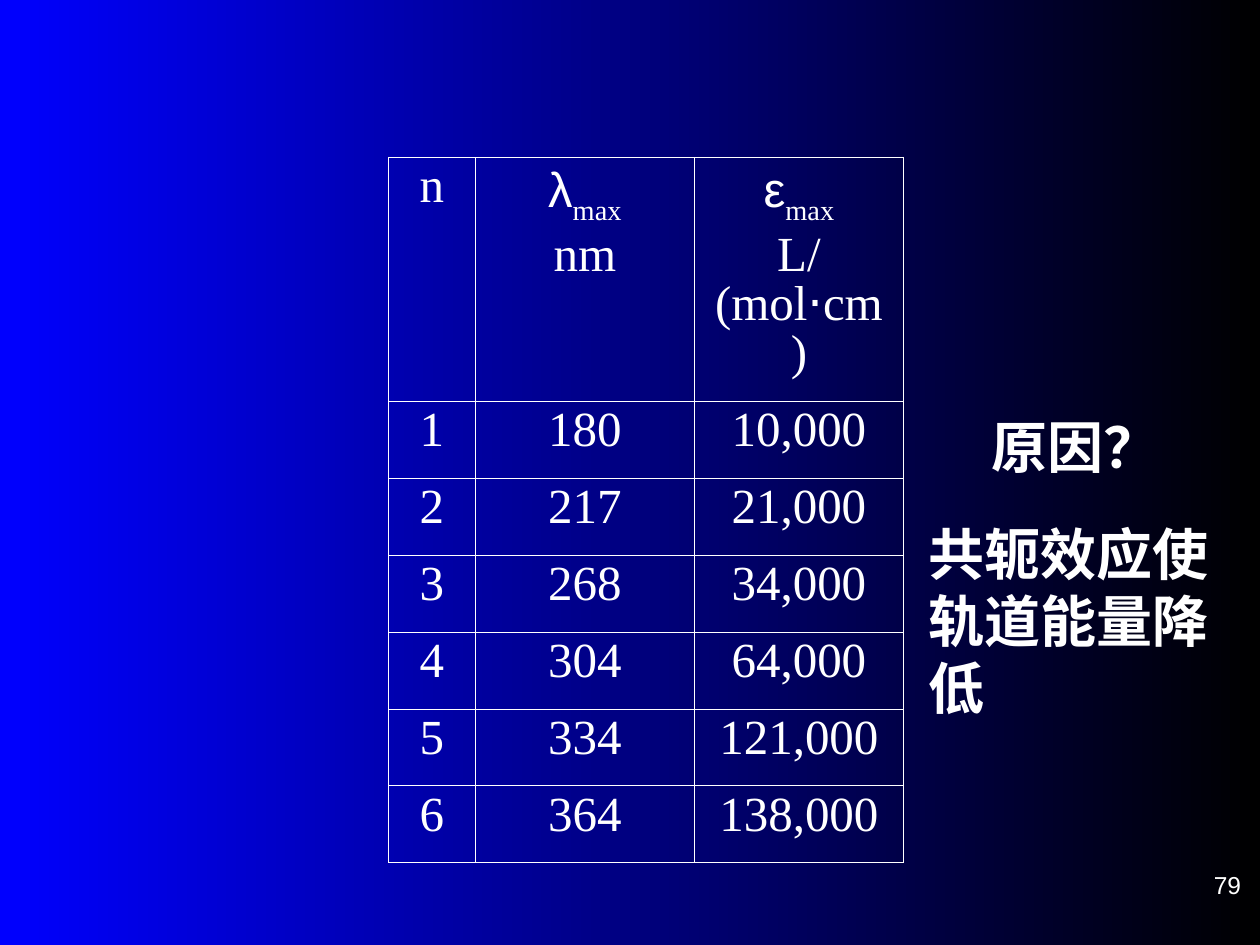
from dataclasses import dataclass

from lxml import etree
from pptx import Presentation
from pptx.dml.color import RGBColor
from pptx.enum.text import MSO_ANCHOR, PP_ALIGN
from pptx.oxml.ns import qn
from pptx.slide import Slide
from pptx.util import Cm, Pt

LEFT, CENTER, RIGHT = PP_ALIGN.LEFT, PP_ALIGN.CENTER, PP_ALIGN.RIGHT
TOP, BOTTOM = MSO_ANCHOR.TOP, MSO_ANCHOR.BOTTOM


@dataclass(frozen=True)
class Theme:
    gradient: tuple = ("0000FF", "000000")
    text: str = "FFFFFF"
    serif: str = "Times New Roman"
    sans: str = "Arial"
    table_size: float = 28
    note_size: float = 32
    number_size: float = 14
    border_width: float = 0.45


THEME = Theme()


@dataclass(frozen=True)
class TextRun:
    text: str
    font: str = THEME.serif
    subscript: bool = False


@dataclass(frozen=True)
class Note:
    lines: tuple
    left: float
    top: float
    width: float
    height: float
    size: float = THEME.note_size
    font: str = THEME.serif
    bold: bool = True
    alignment: PP_ALIGN = LEFT
    anchor: MSO_ANCHOR = TOP
    wrap: bool = True
    vertical_margin: float = 0.13


NOTES = (
    Note(("79",), 19.99, 17.07, 5.28, 1.07, THEME.number_size, THEME.sans,
         bold=False, alignment=RIGHT, anchor=BOTTOM, vertical_margin=0),
    Note(("原因？",), 19.74, 8.18, 3.89, 1.63, wrap=False),
    Note(("共轭效应使", "轨道能量降低"), 18.47, 10.34, 6.93, 4.32),
)

TABLE_LEFT, TABLE_TOP = 7.83, 3.17
COLUMN_WIDTHS = (1.75, 4.42, 4.21)
HEADER_HEIGHT, ROW_HEIGHT = 4.92, 1.55


def symbol_max(symbol: str) -> tuple:
    return TextRun(symbol, THEME.sans), TextRun("max", subscript=True)


HEADER = (
    ((TextRun("n"),),),
    (symbol_max("λ"), (TextRun("nm"),)),
    (symbol_max("ε"),
     (TextRun("L/(mol"), TextRun("⋅", THEME.sans), TextRun("cm)"))),
)
MEASUREMENTS = (
    (1, 180, 10000),
    (2, 217, 21000),
    (3, 268, 34000),
    (4, 304, 64000),
    (5, 334, 121000),
    (6, 364, 138000),
)


def add_run(paragraph, text_run: TextRun, size: float, bold: bool = False) -> None:
    run = paragraph.add_run()
    run.text = text_run.text
    font_format = {"name": text_run.font, "size": Pt(size), "bold": bold}
    for attribute, value in font_format.items():
        setattr(run.font, attribute, value)
    run.font.color.rgb = RGBColor.from_string(THEME.text)
    if text_run.subscript:
        run._r.get_or_add_rPr().set("baseline", "-25000")


def fill_text(frame, paragraphs: tuple, size: float, bold: bool = False,
              **paragraph_format) -> None:
    """Write one paragraph per tuple of runs, spacing only the later ones."""
    space_before = paragraph_format.pop("space_before", Pt(0))
    for index, runs in enumerate(paragraphs):
        paragraph = frame.paragraphs[0] if index == 0 else frame.add_paragraph()
        for attribute, value in paragraph_format.items():
            setattr(paragraph, attribute, value)
        if index:
            paragraph.space_before = space_before
        for text_run in runs:
            add_run(paragraph, text_run, size, bold)


def add_borders(cell) -> None:
    properties = cell._tc.get_or_add_tcPr()
    for side in ("lnL", "lnR", "lnT", "lnB"):
        line = etree.SubElement(properties, qn(f"a:{side}"),
                                w=str(Pt(THEME.border_width)))
        fill = etree.SubElement(line, qn("a:solidFill"))
        etree.SubElement(fill, qn("a:srgbClr"), val=THEME.text)


def add_measurement_table(slide: Slide) -> None:
    rows = [HEADER] + [
        tuple(((TextRun(f"{value:,}"),),) for value in measurement)
        for measurement in MEASUREMENTS
    ]
    heights = [HEADER_HEIGHT] + [ROW_HEIGHT] * len(MEASUREMENTS)
    table = slide.shapes.add_table(
        len(rows), len(COLUMN_WIDTHS), Cm(TABLE_LEFT), Cm(TABLE_TOP),
        Cm(sum(COLUMN_WIDTHS)), Cm(sum(heights))).table
    table.first_row = table.horz_banding = False
    for column, width in zip(table.columns, COLUMN_WIDTHS):
        column.width = Cm(width)
    for row, height, contents in zip(table.rows, heights, rows):
        row.height = Cm(height)
        for cell, paragraphs in zip(row.cells, contents):
            add_borders(cell)
            cell.fill.background()
            fill_text(cell.text_frame, paragraphs, THEME.table_size,
                      alignment=CENTER, line_spacing=0.9, space_before=Pt(7))


def add_note(slide: Slide, note: Note) -> None:
    frame = slide.shapes.add_textbox(
        Cm(note.left), Cm(note.top), Cm(note.width), Cm(note.height)).text_frame
    frame_format = {
        "word_wrap": note.wrap,
        "vertical_anchor": note.anchor,
        "margin_top": Cm(note.vertical_margin),
        "margin_bottom": Cm(note.vertical_margin),
    }
    for attribute, value in frame_format.items():
        setattr(frame, attribute, value)
    paragraphs = tuple((TextRun(line, note.font),) for line in note.lines)
    fill_text(frame, paragraphs, note.size, note.bold, alignment=note.alignment)


def paint_background(slide: Slide) -> None:
    fill = slide.background.fill
    fill.gradient()
    fill.gradient_angle = 0
    for stop, color in zip(fill.gradient_stops, THEME.gradient):
        stop.color.rgb = RGBColor.from_string(color)


def main() -> None:
    presentation = Presentation()
    presentation.slide_width, presentation.slide_height = Cm(25.4), Cm(19.05)
    slide = presentation.slides.add_slide(presentation.slide_layouts[6])
    paint_background(slide)
    add_measurement_table(slide)
    for note in NOTES:
        add_note(slide, note)
    presentation.save("out.pptx")


if __name__ == "__main__":
    main()
